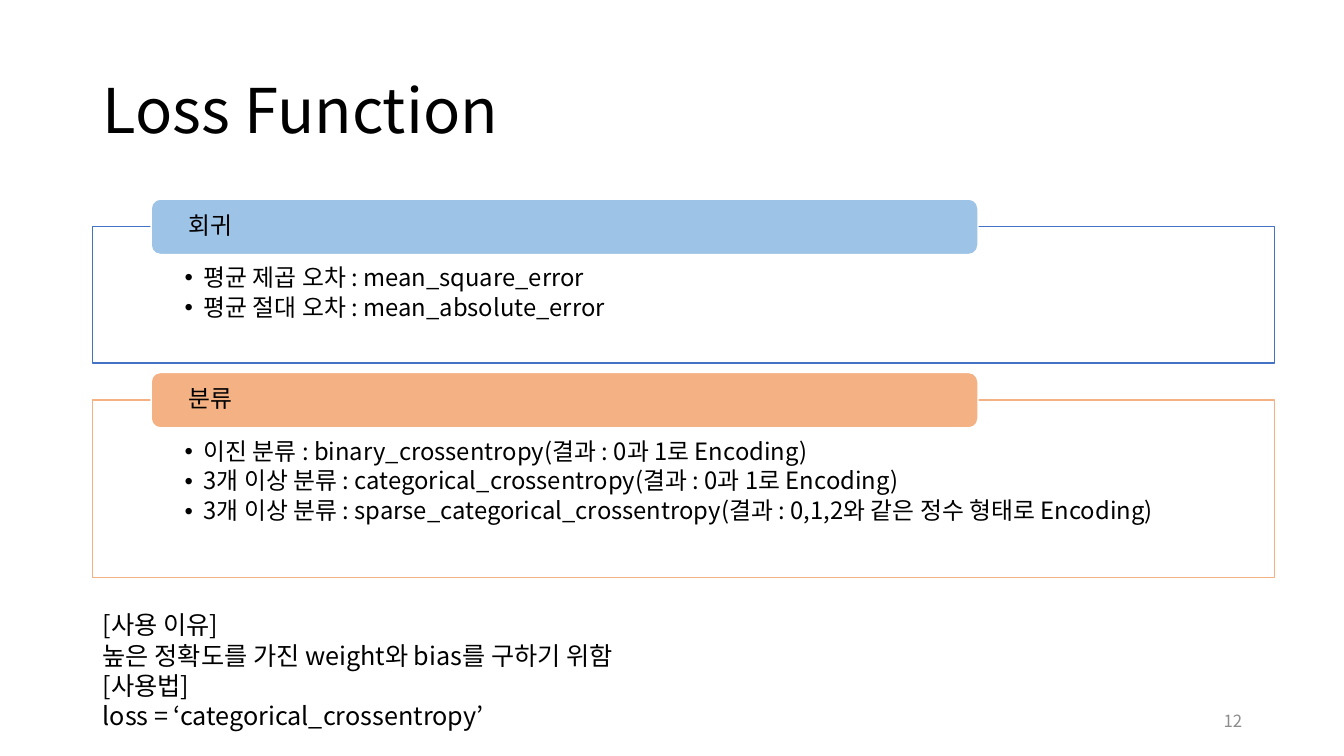
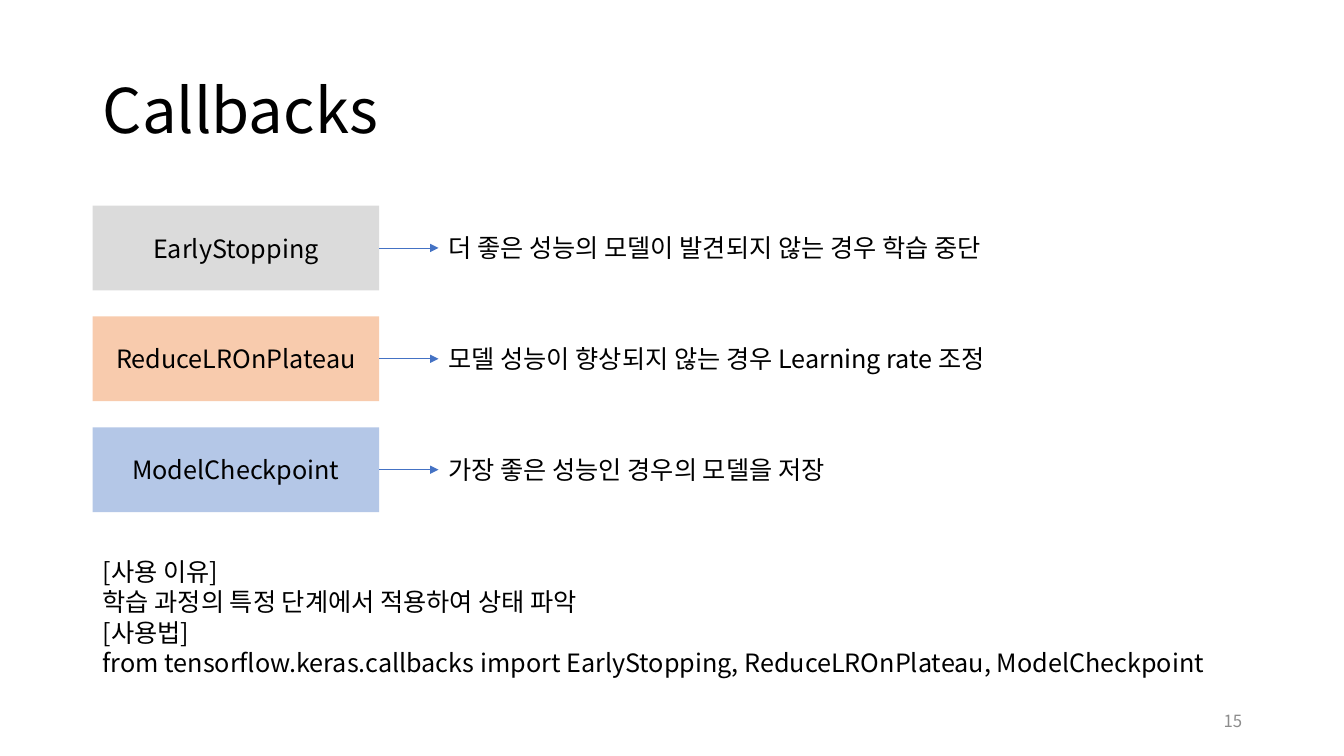
from lxml import etree
from pptx import Presentation
from pptx.dml.color import RGBColor
from pptx.enum.shapes import MSO_CONNECTOR as Connector, MSO_SHAPE as Preset
from pptx.enum.text import MSO_ANCHOR as Anchor, MSO_AUTO_SIZE as AutoSize, PP_ALIGN as Align
from pptx.oxml.ns import qn
from pptx.util import Inches, Pt

FONT = "Noto Sans CJK KR"
BLACK, WHITE, GRAY, BLUE, ORANGE = "000000", "FFFFFF", "8C8C8C", "4472C4", "F4B183"
LEFT = 0.92
TWO_CONTENT, TITLE_ONLY = 3, 5
MARGINS = (0.1, 0.05, 0.1, 0.05)

LOSS = {
    "title": "Loss Function",
    "number": 12,
    "notes": ["[사용 이유]", "높은 정확도를 가진 weight와 bias를 구하기 위함",
              "[사용법]", "loss = ‘categorical_crossentropy’"],
    "notes_box": (LEFT, 6, 8.48, 1.31),
}
# heading, tab colour, frame colour, frame height, items
PANELS = [
    ("회귀", "9DC3E6", BLUE, 1.35, [
        "평균 제곱 오차 : mean_square_error",
        "평균 절대 오차 : mean_absolute_error"]),
    ("분류", ORANGE, ORANGE, 1.76, [
        "이진 분류 : binary_crossentropy(결과 : 0과 1로 Encoding)",
        "3개 이상 분류 : categorical_crossentropy(결과 : 0과 1로 Encoding)",
        "3개 이상 분류 : sparse_categorical_crossentropy"
        "(결과 : 0,1,2와 같은 정수 형태로 Encoding)"]),
]
PANEL_TOP, PANEL_WIDTH, PANEL_GAP = 2.25, 11.72, 0.37
TAB_LEFT, TAB_WIDTH, TAB_HEIGHT = 1.5, 8.2, 0.55

CALLBACKS = {
    "title": "Callbacks",
    "number": 15,
    "notes": ["[사용 이유]", "학습 과정의 특정 단계에서 적용하여 상태 파악", "[사용법]",
              "from tensorflow.keras.callbacks import "
              "EarlyStopping, ReduceLROnPlateau, ModelCheckpoint"],
    "notes_box": (LEFT, 5.47, 11.42, 1.31),
}
ROWS = [
    ("EarlyStopping", "DBDBDB", "더 좋은 성능의 모델이 발견되지 않는 경우 학습 중단"),
    ("ReduceLROnPlateau", "F8CBAD", "모델 성능이 향상되지 않는 경우 Learning rate 조정"),
    ("ModelCheckpoint", "B4C7E7", "가장 좋은 성능인 경우의 모델을 저장"),
]
ROW_TOP, ROW_STEP, BOX_WIDTH, BOX_HEIGHT = 2.04, 1.1, 2.84, 0.84
TEXT_LEFT, TEXT_WIDTH, TEXT_HEIGHT = 4.35, 6.63, 0.4


def color(hex_code):
    return RGBColor.from_string(hex_code)


def place(shape, left, top, width, height):
    shape.left, shape.top = Inches(left), Inches(top)
    shape.width, shape.height = Inches(width), Inches(height)


def paint(shape, fill=None, line=None):
    if fill:
        shape.fill.solid()
        shape.fill.fore_color.rgb = color(fill)
    else:
        shape.fill.background()
    if line:
        shape.line.color.rgb = color(line)
        shape.line.width = Pt(1)
    else:
        shape.line.fill.background()


def write(shape, lines, size=18, ink=BLACK, align=Align.LEFT, anchor=Anchor.TOP,
          spacing=1.0, after=0, margins=MARGINS, bullet=None):
    frame = shape.text_frame
    frame.word_wrap, frame.auto_size, frame.vertical_anchor = True, AutoSize.NONE, anchor
    (frame.margin_left, frame.margin_top,
     frame.margin_right, frame.margin_bottom) = map(Inches, margins)
    frame.text = "\n".join(lines)
    for paragraph in frame.paragraphs:
        paragraph.alignment, paragraph.line_spacing = align, spacing
        paragraph.space_before, paragraph.space_after = Pt(0), Pt(after)
        if bullet:
            properties = paragraph.runs[0].font and paragraph._p.get_or_add_pPr()
            properties.set("marL", str(Inches(0.19)))
            properties.set("indent", str(Inches(-0.19)))
            etree.SubElement(properties, qn("a:buChar")).set("char", bullet)
        for run in paragraph.runs:
            run.font.name, run.font.size = FONT, Pt(size)
            run.font.color.rgb = color(ink)
            east_asian = etree.SubElement(run.font._element, qn("a:ea"))
            east_asian.set("typeface", FONT)


def add_text(slide, box, lines, **style):
    write(slide.shapes.add_textbox(*map(Inches, box)), lines, **style)


def add_block(slide, preset, box, fill, line=None):
    shape = slide.shapes.add_shape(preset, *map(Inches, box))
    shape.shadow.inherit = False
    paint(shape, fill, line)
    return shape


def add_arrow(slide, start, end, y):
    arrow = slide.shapes.add_connector(
        Connector.STRAIGHT, Inches(start), Inches(y), Inches(end), Inches(y))
    arrow.line.color.rgb = color(BLUE)
    arrow.line.width = Pt(0.5)
    properties = arrow._element.spPr
    etree.SubElement(properties.find(qn("a:ln")), qn("a:tailEnd")).set("type", "triangle")
    etree.SubElement(properties, qn("a:effectLst"))


def add_slide(presentation, layout, content):
    """Add a slide with the title, notes and page number that all slides share."""
    slide = presentation.slides.add_slide(presentation.slide_layouts[layout])
    place(slide.shapes.title, LEFT, 0.4, 11.5, 1.45)
    write(slide.shapes.title, [content["title"]], size=44, anchor=Anchor.MIDDLE, spacing=0.9)
    add_text(slide, content["notes_box"], content["notes"])
    add_text(slide, (9.42, 6.95, 3, 0.4), [str(content["number"])], size=12, ink=GRAY,
             align=Align.RIGHT, anchor=Anchor.MIDDLE)
    return slide


def add_panels(slide):
    top = PANEL_TOP
    bodies = list(slide.placeholders)[1:]
    for body, (heading, tab_color, frame_color, height, items) in zip(bodies, PANELS):
        place(body, LEFT, top, PANEL_WIDTH, height)
        paint(body, line=frame_color)
        write(body, items, size=17, spacing=0.9, after=3,
              margins=(0.91, 0.39, 0.91, 0.13), bullet="•")
        tab = add_block(slide, Preset.ROUNDED_RECTANGLE,
                        (TAB_LEFT, top - TAB_HEIGHT / 2, TAB_WIDTH, TAB_HEIGHT),
                        tab_color, WHITE)
        write(tab, [heading], size=17, anchor=Anchor.MIDDLE, spacing=0.9, after=6,
              margins=(0.34, 0, 0.34, 0))
        top += height + PANEL_GAP


def add_rows(slide):
    for index, (name, fill, meaning) in enumerate(ROWS):
        top = ROW_TOP + index * ROW_STEP
        middle = top + BOX_HEIGHT / 2
        box = add_block(slide, Preset.RECTANGLE, (LEFT, top, BOX_WIDTH, BOX_HEIGHT), fill)
        write(box, [name], align=Align.CENTER, anchor=Anchor.MIDDLE)
        add_arrow(slide, LEFT + BOX_WIDTH, TEXT_LEFT, middle)
        add_text(slide, (TEXT_LEFT, middle - TEXT_HEIGHT / 2, TEXT_WIDTH, TEXT_HEIGHT),
                 [meaning])


def main():
    presentation = Presentation()
    presentation.slide_width, presentation.slide_height = Inches(13.33), Inches(7.5)
    add_panels(add_slide(presentation, TWO_CONTENT, LOSS))
    add_rows(add_slide(presentation, TITLE_ONLY, CALLBACKS))
    presentation.save("out.pptx")


if __name__ == "__main__":
    main()
